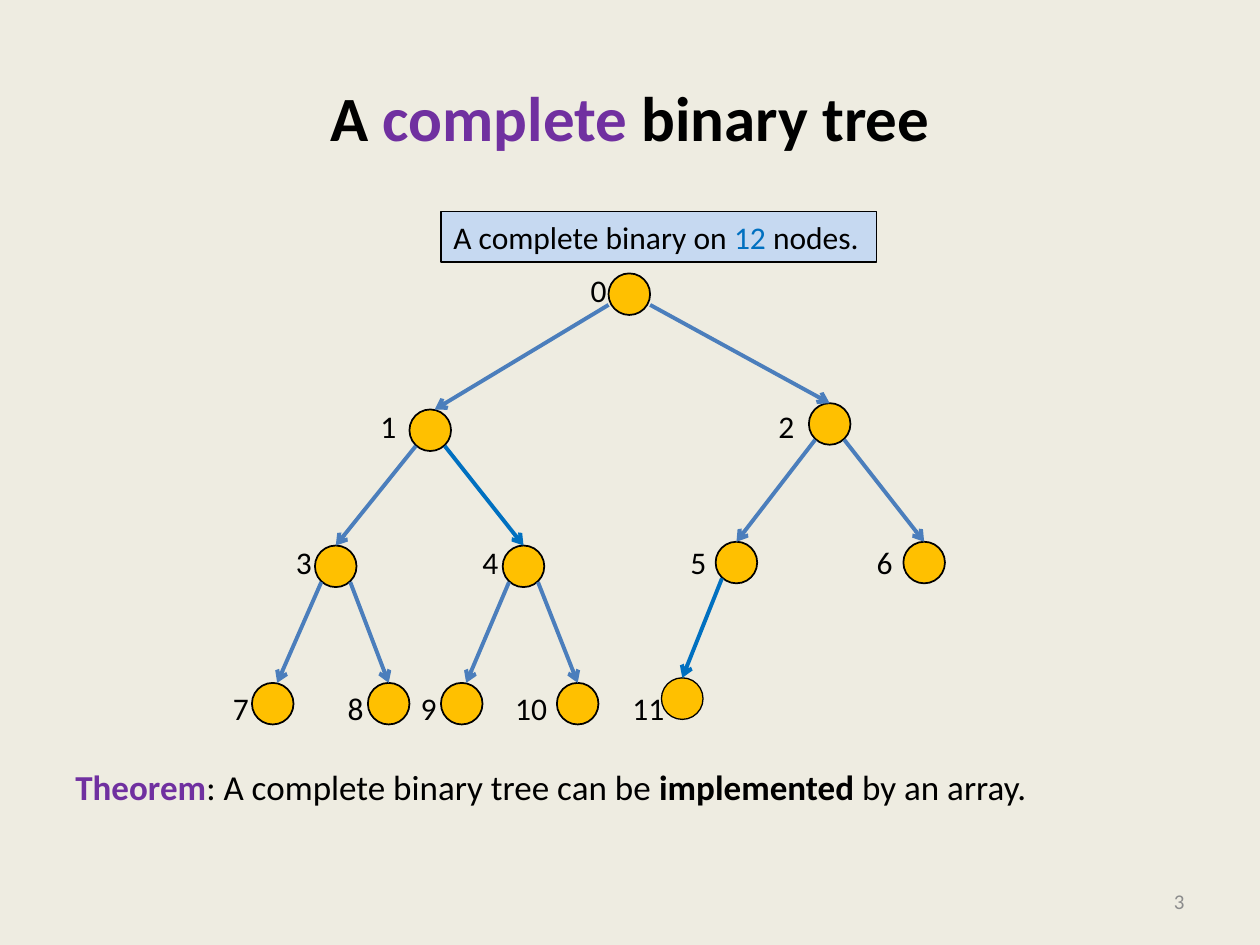
from lxml import etree
from pptx import Presentation, util as u
from pptx.dml.color import RGBColor
from pptx.enum import shapes, text
from pptx.oxml.ns import qn

BLACK = RGBColor(0x00, 0x00, 0x00)
PURPLE = RGBColor(0x70, 0x30, 0xA0)
GREY = RGBColor(0x8C, 0x8C, 0x8C)
BLUE = RGBColor(0x00, 0x70, 0xC0)
EDGE_BLUE = RGBColor(0x4B, 0x7E, 0xBC)
PALE_BLUE = RGBColor(0xC6, 0xD9, 0xF1)
GOLD = RGBColor(0xFF, 0xC0, 0x00)
CREAM = RGBColor(0xEE, 0xEC, 0xE1)

WIDTH, HEIGHT, MARGIN = 10, 7.5, 0.5
DIAMETER = 0.33
LABEL_INSET = 0.1

TITLE = [("A ", BLACK, True), ("complete ", PURPLE, True), ("binary tree", BLACK, True)]
CAPTION = [("A complete binary on ", BLACK, False), ("12", BLUE, False),
           (" nodes.", BLACK, False)]
THEOREM = [("Theorem", PURPLE, True), (": A complete binary tree can be ", BLACK, False),
           ("implemented", BLACK, True), (" by an array.", BLACK, False)]
PAGE_NUMBER = [("3", GREY, False)]

NODES = [(4.83, 2.17),
         (3.25, 3.25), (6.42, 3.2),
         (2.5, 4.33), (3.99, 4.33), (5.68, 4.3), (7.17, 4.3),
         (2, 5.42), (2.92, 5.42), (3.5, 5.42), (4.42, 5.42), (5.25, 5.38)]
HIGHLIGHTED_EDGES = {4, 11}
LANDING = {1: 0.2, 7: 0.2, 9: 0.2}
LABEL_ROWS = [
    (2.1, 0.33, [(0, 4.59)]),
    (3.18, 3.58, [(1, 2.92), (2, 6.08)]),
    (4.26, 5.05, [(3, 2.25), (4, 3.73), (5, 5.38), (6, 6.86)]),
    (5.42, 3.99, [(7, 1.75), (8, 2.66), (9, 3.24), (10, 3.99), (11, 4.92)]),
]


def write(slide, runs, left, top, width, height, size=18, align=text.PP_ALIGN.LEFT,
          tabs=(), fill=None):
    box = slide.shapes.add_textbox(*map(u.Inches, (left, top, width, height)))
    frame = box.text_frame
    frame.word_wrap = True
    frame.vertical_anchor = text.MSO_ANCHOR.MIDDLE
    paragraph = frame.paragraphs[0]
    paragraph.alignment = align
    if tabs:
        stops = etree.SubElement(paragraph._p.get_or_add_pPr(), qn("a:tabLst"))
        for stop in tabs:
            etree.SubElement(stops, qn("a:tab"), pos=str(u.Inches(stop)), algn="l")
    for words, color, bold in runs:
        run = paragraph.add_run()
        run.text = words
        run.font.name = "Calibri"
        run.font.size = u.Pt(size)
        run.font.bold = bold
        run.font.color.rgb = color
    if fill is not None:
        box.fill.solid()
        box.fill.fore_color.rgb = fill
        box.line.color.rgb = BLACK
        box.line.width = u.Pt(0.75)


def draw_node(slide, index):
    left, top = NODES[index]
    node = slide.shapes.add_shape(shapes.MSO_SHAPE.OVAL,
                                  *map(u.Inches, (left, top, DIAMETER, DIAMETER)))
    node.shadow.inherit = False
    node.fill.solid()
    node.fill.fore_color.rgb = GOLD
    node.line.color.rgb = BLACK
    node.line.width = u.Pt(0.75 if index == len(NODES) - 1 else 1)


def draw_edge(slide, child):
    parent = (child - 1) // 2
    parent_left, parent_top = NODES[parent]
    child_left, child_top = NODES[child]
    inset, drop = (0.05, 0.29) if parent else (0, 0.25)
    exit_x = parent_left + (inset if child % 2 else DIAMETER - inset)
    landing_x = child_left + LANDING.get(child, DIAMETER / 2)
    ends = (exit_x, parent_top + drop, landing_x, child_top)
    edge = slide.shapes.add_connector(shapes.MSO_CONNECTOR.STRAIGHT, *map(u.Inches, ends))
    edge.line.color.rgb = BLUE if child in HIGHLIGHTED_EDGES else EDGE_BLUE
    edge.line.width = u.Pt(2.25)
    etree.SubElement(edge.line._get_or_add_ln(), qn("a:tailEnd"), type="arrow")
    etree.SubElement(edge._element.spPr, qn("a:effectLst"))


def main():
    deck = Presentation()
    deck.slide_width, deck.slide_height = u.Inches(WIDTH), u.Inches(HEIGHT)
    slide = deck.slides.add_slide(deck.slide_layouts[6])
    slide.background.fill.solid()
    slide.background.fill.fore_color.rgb = CREAM

    content_width = WIDTH - 2 * MARGIN
    write(slide, TITLE, MARGIN, 0.3, content_width, 1.25, size=36,
          align=text.PP_ALIGN.CENTER)
    write(slide, THEOREM, MARGIN, 6.03, content_width, 0.42, size=20)
    write(slide, PAGE_NUMBER, 7.17, 6.95, 2.33, 0.4, size=12, align=text.PP_ALIGN.RIGHT)

    for index in range(len(NODES)):
        draw_node(slide, index)
        if index:
            draw_edge(slide, index)

    for top, width, labels in LABEL_ROWS:
        row_left = labels[0][1]
        numbers = "\t".join(str(number) for number, _ in labels)
        stops = [left - row_left for _, left in labels[1:]]
        write(slide, [(numbers, BLACK, False)], row_left, top, width + LABEL_INSET, 0.4,
              tabs=stops)

    write(slide, CAPTION, 3.5, 1.68, 3.46, 0.4, fill=PALE_BLUE)
    deck.save("out.pptx")


if __name__ == "__main__":
    main()
